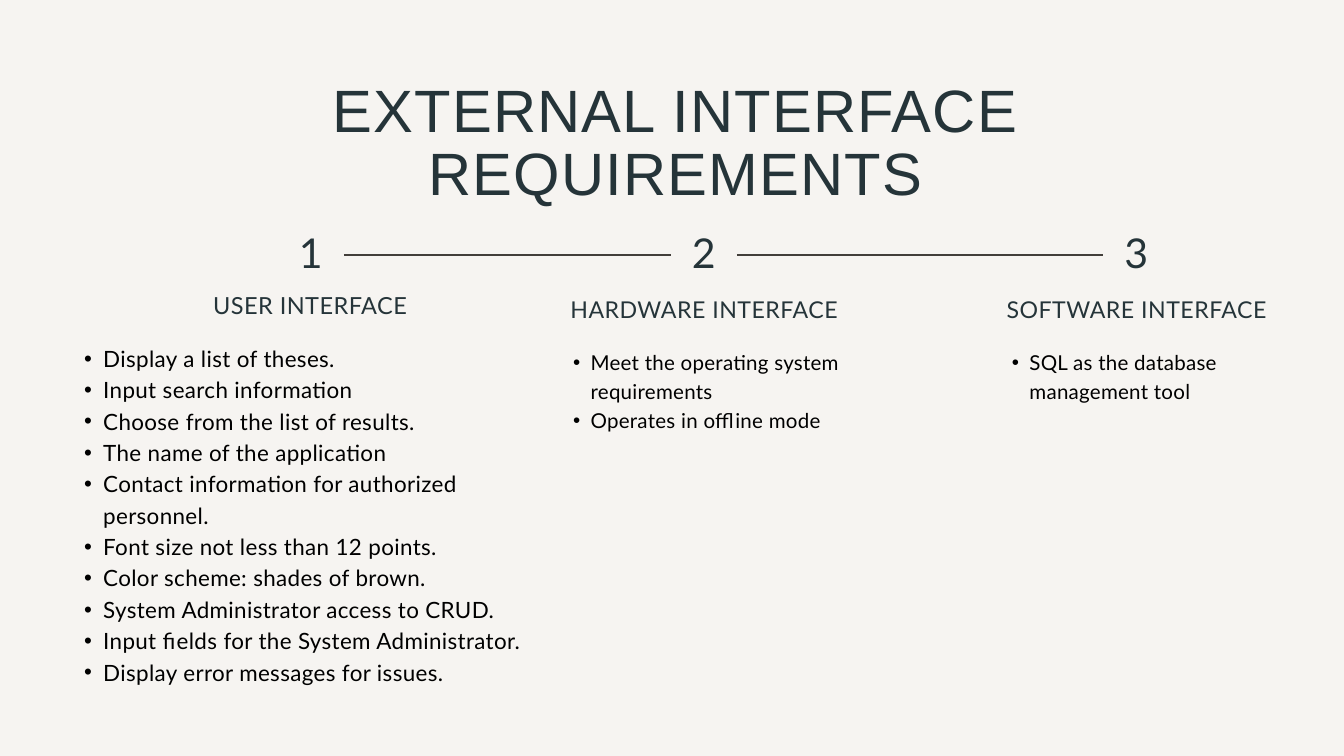
from dataclasses import dataclass

from lxml.etree import SubElement
from pptx import Presentation
from pptx.dml.color import RGBColor
from pptx.enum.shapes import MSO_CONNECTOR as Link, MSO_SHAPE as Form
from pptx.enum.text import MSO_ANCHOR as Anchor, MSO_AUTO_SIZE as Fit, PP_ALIGN as Align
from pptx.oxml.ns import qn
from pptx.util import Pt

PAPER = RGBColor(0xF6, 0xF4, 0xF1)
SLATE = RGBColor(0x25, 0x34, 0x39)
BROWN = RGBColor(0x42, 0x3E, 0x3A)
BLACK = RGBColor(0, 0, 0)

LINE_Y = 273.6
NUM_W, NUM_H, NUM_TOP = 71, 94.2, 219
PLATE_H = 79.2


@dataclass
class Style:
    size: float
    lead: float
    track: float
    face: str = "Lato"
    color: RGBColor = SLATE
    align: Align = Align.CENTER
    indent: float = 0


@dataclass
class Column:
    num_x: float
    left: float
    width: float
    head_top: float
    head_h: float
    list_top: float
    list_h: float
    head: str
    head_style: Style
    items: list[str]
    list_style: Style


TITLE = Style(64, 67.2, 1.3, "Arial")
NUMBER = Style(44, 61.6, 0.9)
HEAD_BIG = Style(25.2, 35.3, 0.5)
HEAD = Style(24.8, 34.7, 0.5)
LIST_BIG = Style(24, 33.6, 0.4, color=BLACK, align=Align.LEFT, indent=20.4)
LIST = Style(22, 30.8, 0.3, color=BLACK, align=Align.LEFT, indent=18.7)

COLUMNS = [
    Column(297.4, 69.8, 525, 306.7, 40.3, 365, 363.6, "USER INTERFACE", HEAD_BIG, [
        "Display a list of theses.",
        "Input search information",
        "Choose from the list of results.",
        "The name of the application",
        "Contact information for authorized personnel.",
        "Font size not less than 12 points.",
        "Color scheme: shades of brown.",
        "System Administrator access to CRUD.",
        "Input fields for the System Administrator.",
        "Display error messages for issues.",
    ], LIST_BIG),
    Column(718.6, 595.4, 318.2, 311.8, 39.6, 370.8, 92.9, "HARDWARE INTERFACE", HEAD, [
        "Meet the operating system requirements",
        "Operates in offline mode",
    ], LIST),
    Column(1182, 1065.6, 304.6, 311.8, 39.6, 370.8, 61.9, "SOFTWARE INTERFACE", HEAD, [
        "SQL as the database management tool",
    ], LIST),
]


def place(shape, left: float, top: float, width: float, height: float) -> None:
    shape.left, shape.top = Pt(left), Pt(top)
    shape.width, shape.height = Pt(width), Pt(height)


def write(shape, lines: list[str], style: Style, anchor=Anchor.TOP) -> None:
    frame = shape.text_frame
    frame.word_wrap = True
    frame.auto_size = Fit.NONE
    frame.vertical_anchor = anchor
    frame.margin_left = frame.margin_right = 0
    frame.margin_top = frame.margin_bottom = 0
    frame.text = "\n".join(lines)
    for para in frame.paragraphs:
        para.alignment = style.align
        para.line_spacing = Pt(style.lead)
        para.space_before = para.space_after = Pt(0)
        if style.indent:
            add_bullet(para, style.indent)
        font = para.font
        font.name, font.size = style.face, Pt(style.size)
        font.color.rgb = style.color
        for run in para.runs:
            run._r.get_or_add_rPr().set("spc", str(round(style.track * 100)))


def add_bullet(para, indent: float) -> None:
    """Hang the text by indent, one more indent in from the left edge."""
    props = para._p.get_or_add_pPr()
    props.set("marL", str(Pt(2 * indent)))
    props.set("indent", str(-Pt(indent)))
    SubElement(props, qn("a:buFont")).set("typeface", "Arial")
    SubElement(props, qn("a:buChar")).set("char", "•")


def add_text(shapes, box: tuple, lines: list[str], style: Style, anchor=Anchor.TOP) -> None:
    write(shapes.add_textbox(*map(Pt, box)), lines, style, anchor)


def add_plate(shapes, left: float):
    """Paper-coloured patch behind a number, where the lines meet."""
    plate = shapes.add_shape(Form.RECTANGLE, Pt(left), Pt(LINE_Y - PLATE_H / 2),
                             Pt(NUM_W), Pt(PLATE_H))
    plate.shadow.inherit = False
    plate.fill.solid()
    plate.fill.fore_color.rgb = PAPER
    plate.line.fill.background()
    return plate


def add_line(shapes, start: float, end: float):
    line = shapes.add_connector(Link.STRAIGHT, Pt(start), Pt(LINE_Y), Pt(end), Pt(LINE_Y))
    line.line.color.rgb = BROWN
    line.line.width = Pt(2.25)
    SubElement(line._element.spPr, qn("a:effectLst"))
    return line


def main() -> None:
    deck = Presentation()
    deck.slide_width, deck.slide_height = Pt(1440), Pt(810)
    slide = deck.slides.add_slide(deck.slide_layouts.get_by_name("Two Content"))
    slide.background.fill.solid()
    slide.background.fill.fore_color.rgb = PAPER
    shapes = slide.shapes

    title, *bodies = slide.placeholders
    place(title, 88.6, 87.8, 1270.8, 69.8)
    write(title, ["EXTERNAL INTERFACE REQUIREMENTS"], TITLE)

    plates = [add_plate(shapes, col.num_x) for col in COLUMNS[1:]]
    for i, (col, after) in enumerate(zip(COLUMNS, COLUMNS[1:])):
        line = add_line(shapes, col.num_x + NUM_W, after.num_x)
        if i:
            line.begin_connect(plates[i - 1], 3)
        line.end_connect(plates[i], 1)

    bodies.append(shapes.add_textbox(0, 0, 0, 0))
    for i, (col, body) in enumerate(zip(COLUMNS, bodies), 1):
        add_text(shapes, (col.num_x, NUM_TOP, NUM_W, NUM_H), [str(i)], NUMBER, Anchor.MIDDLE)
        add_text(shapes, (col.left, col.head_top, col.width, col.head_h),
                 [col.head], col.head_style)
        place(body, col.left, col.list_top, col.width, col.list_h)
        write(body, col.items, col.list_style)

    deck.save("out.pptx")


if __name__ == "__main__":
    main()
